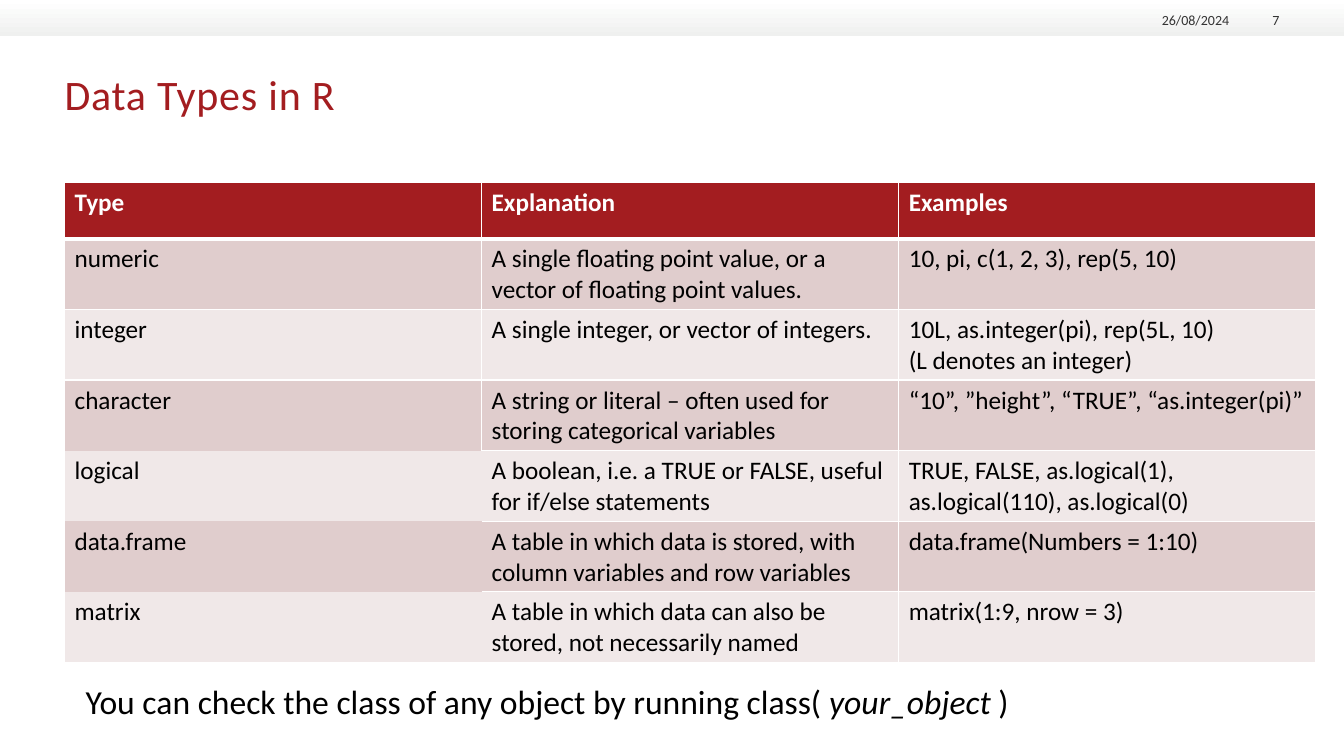
from lxml.etree import SubElement
from pptx import Presentation
from pptx.dml.color import RGBColor
from pptx.enum.shapes import MSO_SHAPE
from pptx.enum.text import MSO_ANCHOR, MSO_AUTO_SIZE, PP_ALIGN
from pptx.oxml.ns import qn
from pptx.util import Pt

RED, WHITE, BLACK, GREY = "A31D20", "FFFFFF", "000000", "333333"
BANDS = ["F0E8E8", "E0CDCD"]
ROWS = [
    ("Type", "Explanation", "Examples"),
    ("numeric", "A single floating point value, or a vector of floating point values.",
     "10, pi, c(1, 2, 3), rep(5, 10)"),
    ("integer", "A single integer, or vector of integers.",
     "10L, as.integer(pi), rep(5L, 10)\n(L denotes an integer)"),
    ("character", "A string or literal – often used for storing categorical variables",
     "“10”, ”height”, “TRUE”, “as.integer(pi)”"),
    ("logical", "A boolean, i.e. a TRUE or FALSE, useful for if/else statements",
     "TRUE, FALSE, as.logical(1), as.logical(110), as.logical(0)"),
    ("data.frame", "A table in which data is stored, with column variables and row variables",
     "data.frame(Numbers = 1:10)"),
    ("matrix", "A table in which data can also be stored, not necessarily named",
     "matrix(1:9, nrow = 3)"),
]


def px(*vals):
    return [val * 9144 for val in vals]


def color(code):
    return RGBColor.from_string(code)


def width(row, col, side):
    """Return the border width of one cell side in points, 0 for none."""
    bare = (col == 0 and (row > 3 or (row == 3 and side == "B"))
            or col == 1 and row > 3 and side == "L")
    if bare:
        return 0
    return 3 if (row, side) in [(0, "B"), (1, "T")] else 1


class Slide:
    """Draws styled elements on one slide."""

    def __init__(self, deck, face):
        self.face = face
        self.shapes = deck.slides.add_slide(deck.slide_layouts[6]).shapes

    def font(self, para, size, code, bold=False):
        font = para.font
        font.name, font.size, font.bold = self.face, Pt(size), bold
        font.color.rgb = color(code)

    def band(self, box, top, low):
        shape = self.shapes.add_shape(MSO_SHAPE.RECTANGLE, *px(*box))
        shape.shadow.inherit = False
        shape.line.fill.background()
        shape.fill.gradient()
        shape.fill.gradient_angle = 270
        for stop, code in zip(shape.fill.gradient_stops, (top, low)):
            stop.color.rgb = color(code)

    def text(self, box, parts, size, code, align=PP_ALIGN.LEFT,
             anchor=MSO_ANCHOR.TOP, wrap=True, space=0):
        frame = self.shapes.add_textbox(*px(*box)).text_frame
        frame.margin_left = frame.margin_right = 0
        frame.margin_top = frame.margin_bottom = 0
        frame.word_wrap, frame.vertical_anchor = wrap, anchor
        if not wrap:
            frame.auto_size = MSO_AUTO_SIZE.SHAPE_TO_FIT_TEXT
        para = frame.paragraphs[0]
        para.alignment = align
        for words, slant in parts:
            run = para.add_run()
            run.text = words
            if slant:
                run.font.italic = True
            if space:
                run._r.get_or_add_rPr().set("spc", str(space))
        self.font(para, size, code)

    def edge(self, cell, side, points):
        props = cell._tc.get_or_add_tcPr()
        line = SubElement(props, qn("a:ln" + side), w=str(Pt(points)))
        if points:
            fill = SubElement(line, qn("a:solidFill"))
            SubElement(fill, qn("a:srgbClr"), val=WHITE)
        else:
            SubElement(line, qn("a:noFill"))

    def table(self, box, rows, head, size):
        grid = self.shapes.add_table(len(rows), len(rows[0]), *px(*box)).table
        body = (box[3] - head) // (len(rows) - 1)
        for r, row in enumerate(rows):
            grid.rows[r].height = px(body if r else head)[0]
            for c, words in enumerate(row):
                cell = grid.cell(r, c)
                cell.text = words
                for para in cell.text_frame.paragraphs:
                    self.font(para, size, BLACK if r else WHITE, r == 0)
                for side in "LRTB":
                    self.edge(cell, side, width(r, c, side))
                cell.fill.solid()
                cell.fill.fore_color.rgb = color(BANDS[r % 2] if r else RED)


def main():
    deck = Presentation()
    deck.slide_width, deck.slide_height = px(1333, 750)
    slide = Slide(deck, "Calibri")
    slide.band((0, 0, 1333, 36), WHITE, "EFF0EF")
    slide.text((64, 68, 1204, 94), [("Data Types in R", False)], 30, RED, space=60)
    slide.table((64, 181, 1241, 476), ROWS, 56, 18)
    for left, wide, words in [(1130, 89, "26/08/2024"), (1227, 42, "7")]:
        slide.text((left, 9, wide, 19), [(words, False)], 10, GREY,
                   PP_ALIGN.RIGHT, MSO_ANCHOR.BOTTOM)
    slide.text((85, 676, 1014, 40),
               [("You can check the class of any object by running class( ", False),
                ("your_object ", True), (")", False)], 24, BLACK, wrap=False)
    deck.save("out.pptx")


if __name__ == "__main__":
    main()
